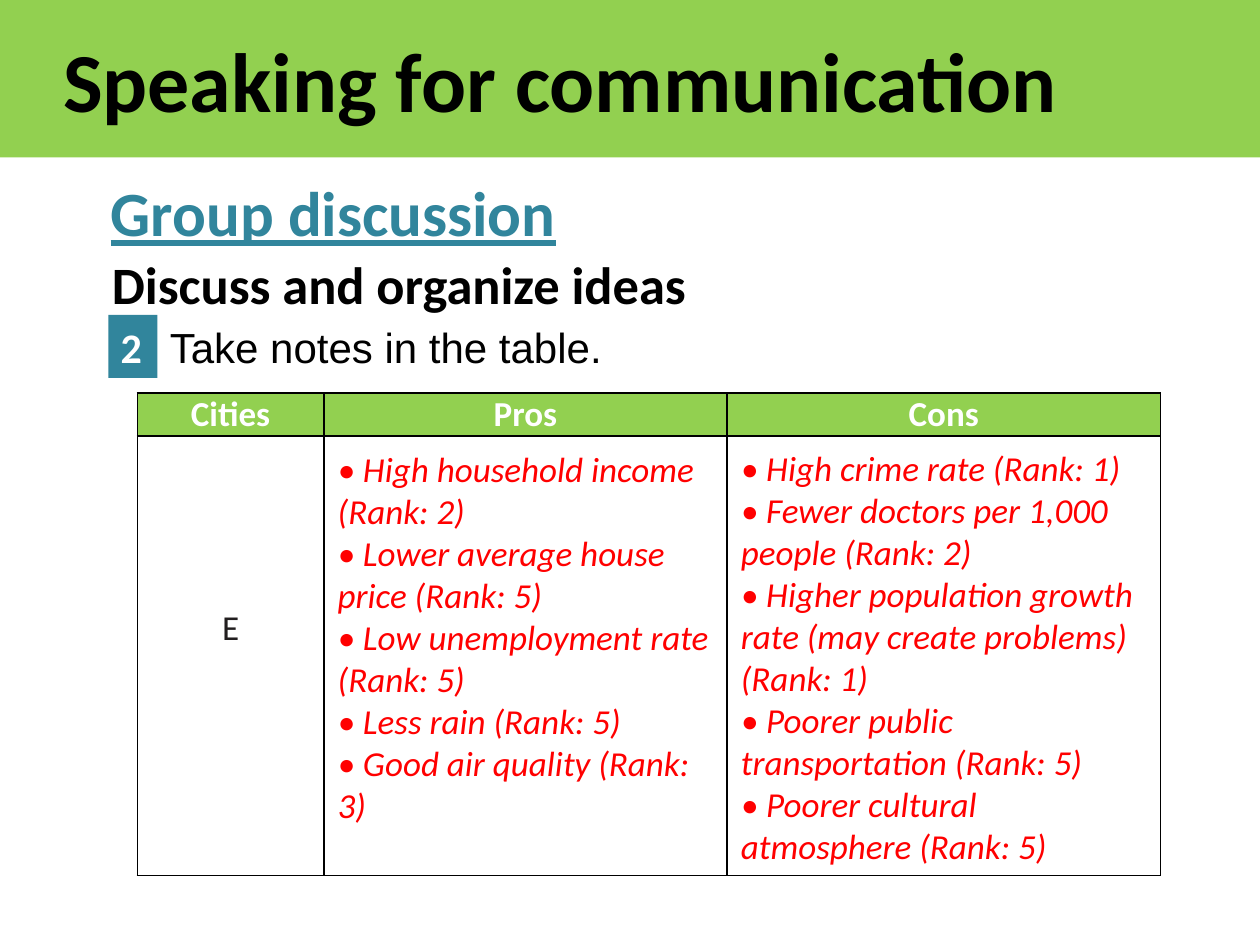
from dataclasses import dataclass

from lxml import etree
from pptx import Presentation
from pptx.dml.color import RGBColor
from pptx.enum import shapes, text
from pptx.oxml import ns
from pptx.util import Inches, Pt

GREEN, TEAL, RED = "92D050", "31859C", "FF0000"
BLACK, WHITE, INK = "000000", "FFFFFF", "221E1F"


@dataclass
class Style:
    size: int
    hue: str
    bold: bool = False
    italic: bool = False
    under: bool = False
    face: str = "Calibri"
    align: text.PP_ALIGN = text.PP_ALIGN.LEFT


@dataclass
class Box:
    left: float
    top: float
    width: float
    height: float

    def lengths(self) -> list:
        return [Inches(n) for n in (self.left, self.top, self.width, self.height)]


@dataclass
class Label:
    words: str
    box: Box
    style: Style
    wrap: bool = True


@dataclass
class Notes:
    box: Box
    items: list[str]


def color(code: str) -> RGBColor:
    return RGBColor.from_string(code)


def paint(part, code: str) -> None:
    part.fill.solid()
    part.fill.fore_color.rgb = color(code)


def write(frame, lines: list[str], style: Style) -> None:
    frame.text = "\n".join(lines)
    for para in frame.paragraphs:
        para.alignment = style.align
        para.space_before = Pt(0)
        font = para.font
        font.name, font.size = style.face, Pt(style.size)
        font.bold, font.italic = style.bold, style.italic
        font.underline = style.under
        font.color.rgb = color(style.hue)


def place(shape, box: Box) -> None:
    shape.left, shape.top, shape.width, shape.height = box.lengths()


def add_label(slide, label: Label) -> None:
    frame = slide.shapes.add_textbox(*label.box.lengths()).text_frame
    frame.word_wrap = label.wrap
    write(frame, [label.words], label.style)


def fill_notes(holder, notes: Notes) -> None:
    place(holder, notes.box)
    frame = holder.text_frame
    frame.auto_size = text.MSO_AUTO_SIZE.NONE
    write(frame, [f"• {item}" for item in notes.items], Style(20, RED, italic=True))
    for para in frame.paragraphs:
        # The bullet is typed, so wrapped lines start at the left edge
        props = para._p.get_or_add_pPr()
        props.set("marL", "0")
        props.set("indent", "0")
        props.insert_element_before(
            etree.Element(ns.qn("a:buNone")), "a:tabLst", "a:defRPr", "a:extLst")


def add_borders(cell) -> None:
    props = cell._tc.get_or_add_tcPr()
    for spot, side in enumerate(("lnL", "lnR", "lnT", "lnB")):
        line = etree.Element(ns.qn(f"a:{side}"), w=str(Pt(1)))
        fill = etree.SubElement(line, ns.qn("a:solidFill"))
        etree.SubElement(fill, ns.qn("a:srgbClr"), val=BLACK)
        props.insert(spot, line)


def add_grid(slide, box: Box, cols: list[float], rows: list[float]) -> None:
    frame = slide.shapes.add_table(len(rows), len(cols), *box.lengths())
    table = frame.table
    table.horz_banding = False
    for col, width in zip(table.columns, cols):
        col.width = Inches(width)
    for row, height in zip(table.rows, rows):
        row.height = Inches(height)

    for cell in table.iter_cells():
        cell.margin_left = cell.margin_right = Inches(0.06)
        cell.margin_top = cell.margin_bottom = 0
        cell.fill.background()
        add_borders(cell)

    mid = text.PP_ALIGN.CENTER
    for spot, head in enumerate(("Cities", "Pros", "Cons")):
        cell = table.cell(0, spot)
        paint(cell, GREEN)
        write(cell.text_frame, [head], Style(20, WHITE, bold=True, align=mid))
    city = table.cell(1, 0)
    city.margin_top = Inches(1.36)
    write(city.text_frame, ["E"], Style(20, INK, align=mid))


def main() -> None:
    deck = Presentation()
    deck.slide_width, deck.slide_height = Inches(10), Inches(7.5)
    slide = deck.slides.add_slide(deck.slide_layouts[3])
    title, pros, cons = list(slide.placeholders)[:3]

    # Title band
    place(title, Box(0, 0, 10, 1.25))
    paint(title, GREEN)
    frame = title.text_frame
    frame.margin_left = Inches(0.5)
    frame.vertical_anchor = text.MSO_ANCHOR.MIDDLE
    frame.auto_size = text.MSO_AUTO_SIZE.NONE
    write(frame, ["Speaking for communication"], Style(48, BLACK, bold=True))

    # Headings and task line
    labels = [
        Label("Group discussion", Box(0.78, 1.33, 3.78, 0.71),
              Style(36, TEAL, bold=True, under=True), wrap=False),
        Label("Discuss and organize ideas", Box(0.79, 1.95, 5.14, 0.61),
              Style(30, BLACK, bold=True)),
        Label("Take notes in the table.", Box(1.25, 2.5, 7.34, 0.5),
              Style(24, BLACK, face="Arial")),
    ]
    for label in labels:
        add_label(slide, label)

    # Task number
    badge = slide.shapes.add_shape(
        shapes.MSO_SHAPE.RECTANGLE, *Box(0.86, 2.5, 0.39, 0.5).lengths())
    badge.shadow.inherit = False
    paint(badge, TEAL)
    badge.line.fill.background()
    write(badge.text_frame, ["2"], Style(24, WHITE, bold=True))

    # Table with a list of notes over each wide cell
    add_grid(slide, Box(1.09, 3.12, 8.12, 3.83), [1.48, 3.2, 3.44], [0.34, 3.49])
    fill_notes(pros, Notes(Box(2.58, 3.5, 3.2, 3.13), [
        "High household income (Rank: 2)",
        "Lower average house price (Rank: 5)",
        "Low unemployment rate (Rank: 5)",
        "Less rain (Rank: 5)",
        "Good air quality (Rank: 3)",
    ]))
    fill_notes(cons, Notes(Box(5.78, 3.49, 3.36, 3.77), [
        "High crime rate (Rank: 1)",
        "Fewer doctors per 1,000 people (Rank: 2)",
        "Higher population growth rate (may create problems) (Rank: 1)",
        "Poorer public transportation (Rank: 5)",
        "Poorer cultural atmosphere (Rank: 5)",
    ]))

    deck.save("out.pptx")


if __name__ == "__main__":
    main()
